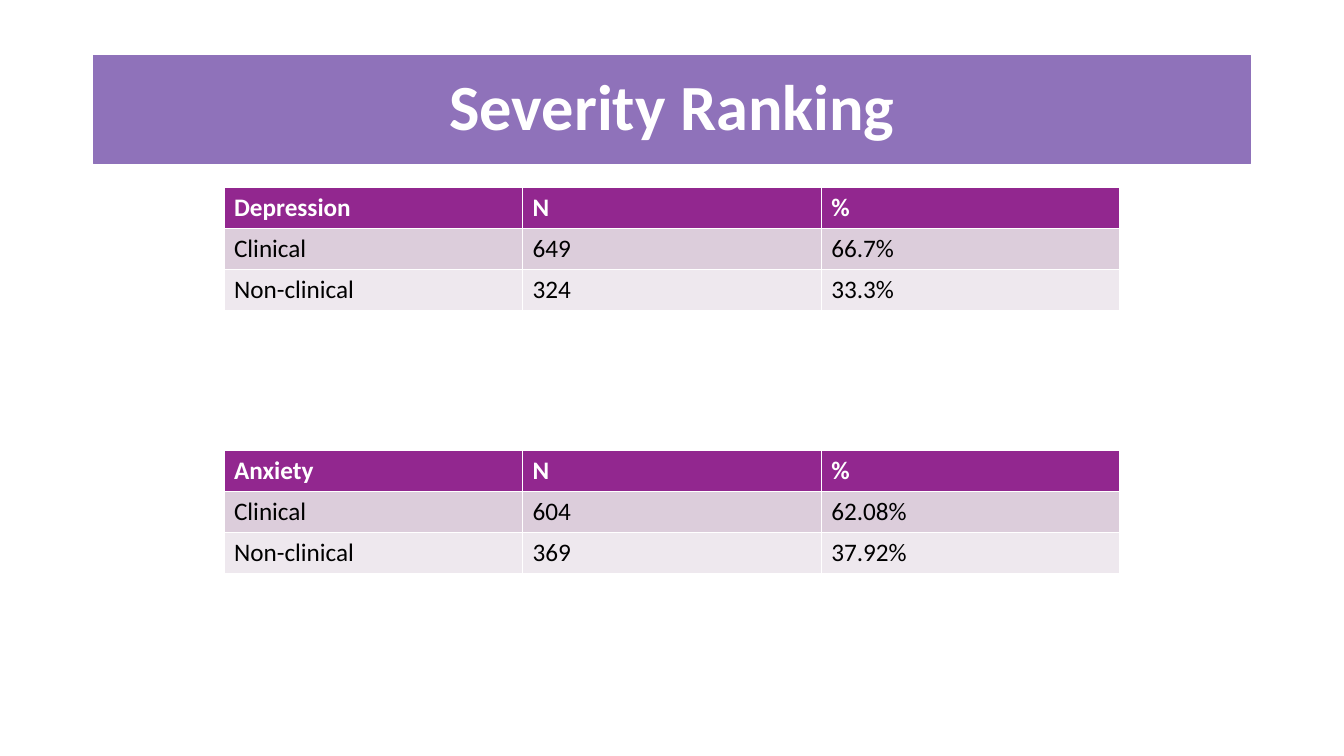
from pptx import Presentation
from pptx.dml.color import RGBColor
from pptx.enum.text import MSO_ANCHOR, MSO_AUTO_SIZE, PP_ALIGN
from pptx.util import Emu, Pt

COLORS = {
    "banner": "8F72BA",
    "header": "92278F",
    "band_dark": "DCCDDB",
    "band_light": "EEE8EE",
    "white": "FFFFFF",
    "black": "000000",
}
GRID_COLUMNS, GRID_ROWS = 72, 75
TABLE_LEFT, TABLE_WIDTH, TABLE_ROW = 12, 48, 4.06

SEVERITY_TABLES = [
    (18.6, [("Depression", "N", "%"),
            ("Clinical", "649", "66.7%"),
            ("Non-clinical", "324", "33.3%")]),
    (44.7, [("Anxiety", "N", "%"),
            ("Clinical", "604", "62.08%"),
            ("Non-clinical", "369", "37.92%")]),
]


class SlideBuilder:
    """Holds the style and the current slide; places elements on a grid."""

    font_name = "Calibri"

    def __init__(self, presentation):
        self.column = presentation.slide_width / GRID_COLUMNS
        self.row = presentation.slide_height / GRID_ROWS
        self.slide = presentation.slides.add_slide(presentation.slide_layouts[5])

    def box(self, left, top, width, height):
        units = (self.column, self.row) * 2
        lengths = (left, top, width, height)
        return [Emu(round(length * unit)) for length, unit in zip(lengths, units)]

    def set_font(self, paragraph, color, size, bold):
        formats = {"name": self.font_name, "size": Pt(size), "bold": bold}
        for name, value in formats.items():
            setattr(paragraph.font, name, value)
        paragraph.font.color.rgb = RGBColor.from_string(COLORS[color])

    def add_title(self, text, *place):
        title = self.slide.shapes.title
        for name, value in zip(("left", "top", "width", "height"), self.box(*place)):
            setattr(title, name, value)

        # Banner behind the title
        banner = RGBColor.from_string(COLORS["banner"])
        title.fill.solid()
        title.fill.fore_color.rgb = banner
        title.line.color.rgb = banner
        title.line.width = Pt(1)

        frame = title.text_frame
        frame.text = text
        formats = {"word_wrap": True, "auto_size": MSO_AUTO_SIZE.NONE,
                   "vertical_anchor": MSO_ANCHOR.MIDDLE}
        for name, value in formats.items():
            setattr(frame, name, value)
        paragraph = frame.paragraphs[0]
        paragraph.alignment = PP_ALIGN.CENTER
        paragraph.line_spacing = 0.9
        self.set_font(paragraph, "white", 46, True)

    def add_table(self, rows, left, top, width, row_height):
        place = self.box(left, top, width, row_height * len(rows))
        table = self.slide.shapes.add_table(len(rows), len(rows[0]), *place).table
        for row_index, values in enumerate(rows):
            is_header = row_index == 0
            band = "band_dark" if row_index % 2 else "band_light"
            fill = "header" if is_header else band
            for column_index, value in enumerate(values):
                cell = table.cell(row_index, column_index)
                cell.text = value
                cell.fill.solid()
                cell.fill.fore_color.rgb = RGBColor.from_string(COLORS[fill])
                color = "white" if is_header else "black"
                self.set_font(cell.text_frame.paragraphs[0], color, 18, is_header)


def main():
    presentation = Presentation()
    presentation.slide_width = Emu(12192000)
    presentation.slide_height = Emu(6858000)
    builder = SlideBuilder(presentation)

    # Title
    builder.add_title("Severity Ranking", 5, 5.5, 62, 10.7)

    # Severity tables
    for top, rows in SEVERITY_TABLES:
        builder.add_table(rows, TABLE_LEFT, top, TABLE_WIDTH, TABLE_ROW)

    presentation.save("out.pptx")


if __name__ == "__main__":
    main()
